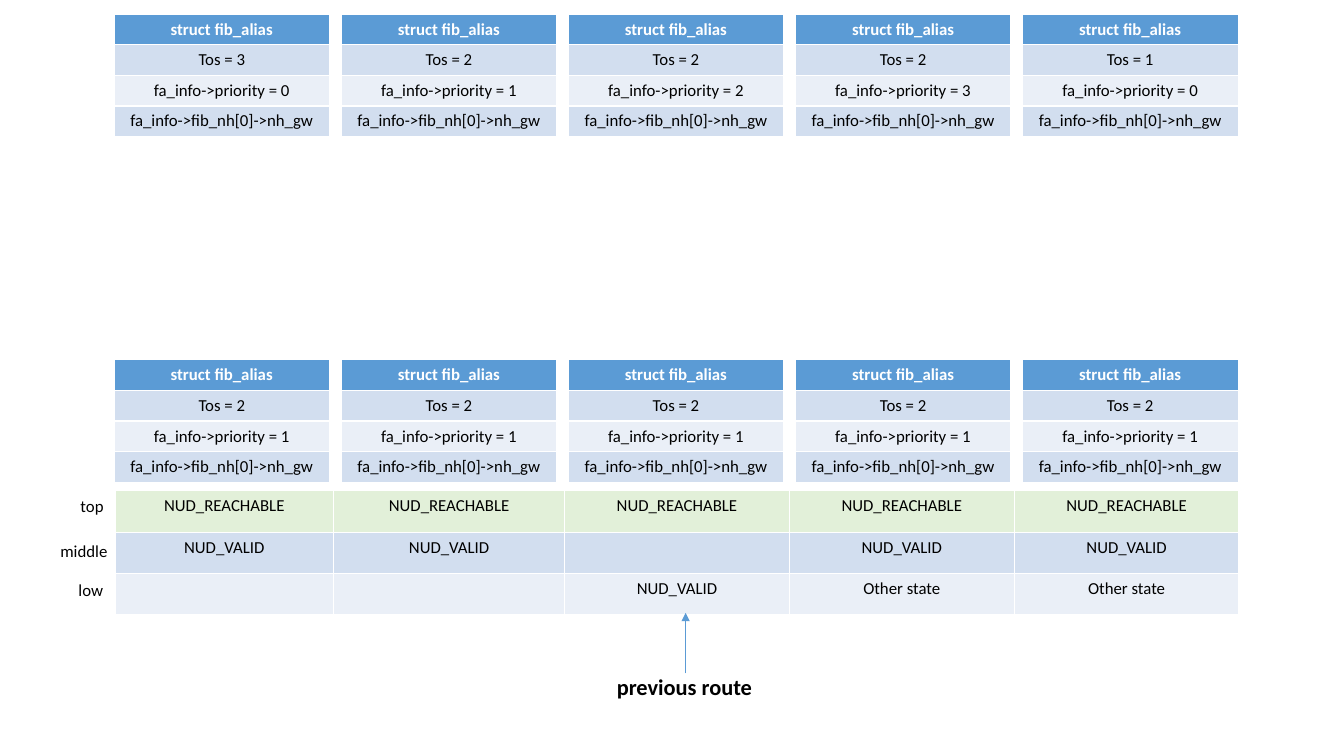
from pptx import Presentation
from pptx.dml.color import RGBColor
from pptx.enum.shapes import MSO_CONNECTOR
from pptx.enum.text import MSO_AUTO_SIZE, PP_ALIGN
from pptx.oxml.ns import qn
from pptx.util import Inches, Pt
from lxml.etree import SubElement

COLORS = {
    "header": "5B9BD5",
    "band": "D2DEEF",
    "pale": "EAEFF7",
    "reachable": "E2F0D9",
    "text": "000000",
    "white": "FFFFFF",
}


def write(frame, text, size=12, color="text", bold=False, align=PP_ALIGN.LEFT):
    para = frame.paragraphs[0]
    para.alignment = align
    para.font.size = Pt(size)
    if text:
        span = para.add_run()
        span.text = text
        span.font.name = "Calibri"
        span.font.size = Pt(size)
        span.font.bold = bold
        span.font.color.rgb = RGBColor.from_string(COLORS[color])


def add_grid(page, left, top, widths, row_height, rows, fills, header):
    shape = page.shapes.add_table(
        len(rows), len(widths), Inches(left), Inches(top),
        Inches(sum(widths)), Inches(row_height * len(rows)))
    table = shape.table
    for column, width in zip(table.columns, widths):
        column.width = Inches(width)
    for row_index, (texts, fill) in enumerate(zip(rows, fills)):
        table.rows[row_index].height = Inches(row_height)
        for column_index, text in enumerate(texts):
            cell = table.cell(row_index, column_index)
            cell.fill.solid()
            cell.fill.fore_color.rgb = RGBColor.from_string(COLORS[fill])
            look = header if row_index == 0 else {}
            write(cell.text_frame, text, align=PP_ALIGN.CENTER, **look)


deck = Presentation()
deck.slide_width, deck.slide_height = Inches(13.33), Inches(7.5)
page = deck.slides.add_slide(deck.slide_layouts[6])

LEFT, PITCH, ALIAS_WIDTH = 1.13, 2.2525, 2.14
alias_rows = [
    (0.14, [(3, 0), (2, 1), (2, 2), (2, 3), (1, 0)]),
    (3.57, [(2, 1)] * 5),
]
for top, aliases in alias_rows:
    for index, (tos, priority) in enumerate(aliases):
        fields = [
            ["struct fib_alias"],
            [f"Tos = {tos}"],
            [f"fa_info->priority = {priority}"],
            ["fa_info->fib_nh[0]->nh_gw"],
        ]
        add_grid(page, LEFT + index * PITCH, top, [ALIAS_WIDTH], 0.3, fields,
                 ["header", "band", "pale", "band"],
                 {"color": "white", "bold": True})

states = [
    ["NUD_REACHABLE"] * 5,
    ["NUD_VALID", "NUD_VALID", "", "NUD_VALID", "NUD_VALID"],
    ["", "", "NUD_VALID", "Other state", "Other state"],
]
add_grid(page, 1.14, 4.87, [2.17, 2.29, 2.23, 2.23, 2.23], 0.41, states,
         ["reachable", "band", "pale"], {})

labels = [
    ("top", 0.7, 4.87, 0.43, 0.3, {}),
    ("middle", 0.5, 5.32, 0.67, 0.3, {}),
    ("low", 0.68, 5.7, 0.45, 0.3, {}),
    ("previous route", 6.02, 6.63, 1.56, 0.37, {"size": 16, "bold": True}),
]
for text, left, top, width, height, look in labels:
    box = page.shapes.add_textbox(Inches(left), Inches(top), Inches(width), Inches(height))
    box.text_frame.word_wrap = False
    box.text_frame.auto_size = MSO_AUTO_SIZE.SHAPE_TO_FIT_TEXT
    write(box.text_frame, text, **look)

arrow = page.shapes.add_connector(
    MSO_CONNECTOR.STRAIGHT, Inches(6.8), Inches(6.68), Inches(6.8), Inches(6.08))
arrow.line.color.rgb = RGBColor.from_string(COLORS["header"])
arrow.line.width = Pt(0.5)
SubElement(arrow.line._get_or_add_ln(), qn("a:tailEnd"), type="triangle")
SubElement(arrow._element.spPr, qn("a:effectLst"))

deck.save("out.pptx")
